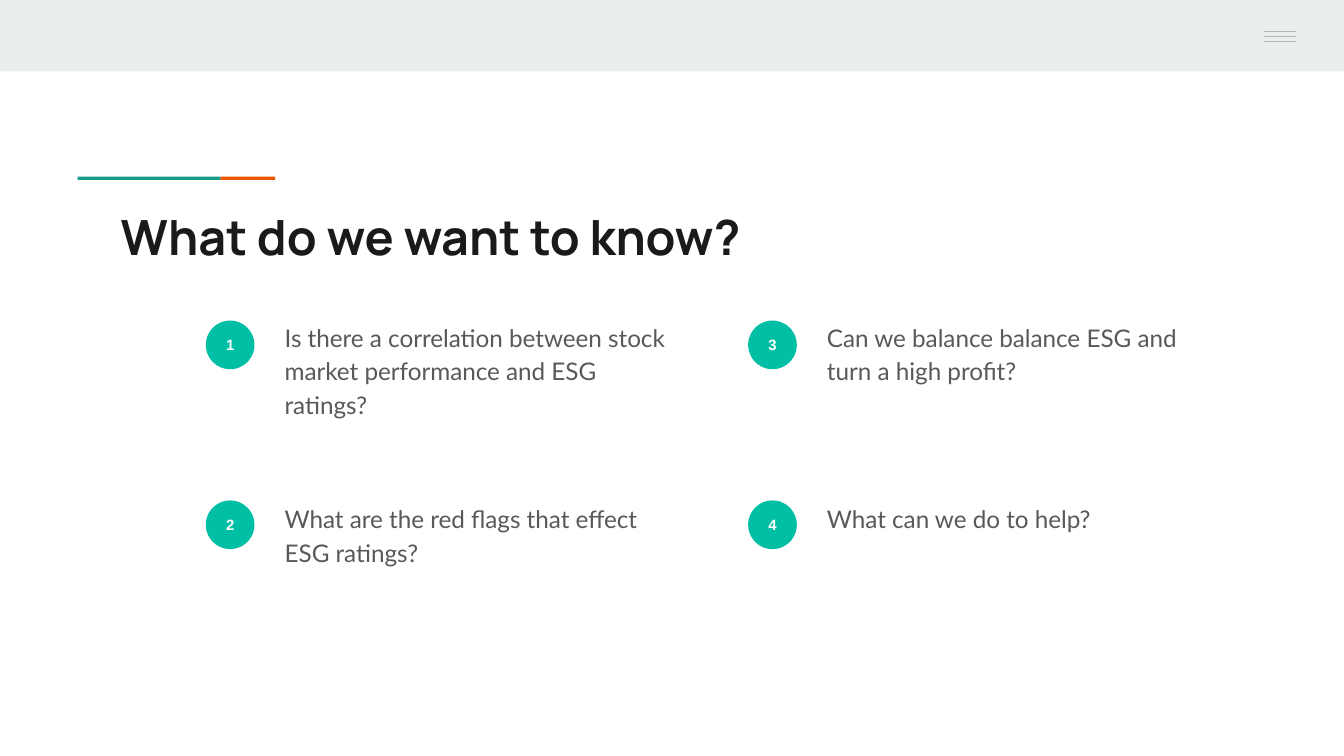
import pptx
import pptx.util
import pptx.dml.color
import pptx.enum.shapes
import pptx.enum.text
import pptx.oxml.xmlchemy

Cm, Pt = pptx.util.Cm, pptx.util.Pt
KIND = pptx.enum.shapes.MSO_SHAPE
ALIGN = pptx.enum.text.PP_ALIGN
ANCHOR = pptx.enum.text.MSO_ANCHOR

HUES = {
    "band": "E9EDEE", "teal": "1A9988", "orange": "EB5600", "menu": "B7B7B7",
    "title": "1A1A1A", "badge": "00BFA5", "white": "FFFFFF", "body": "595959",
}


def block(kind, left, top, width, height, hue):
    shape = slide.shapes.add_shape(kind, Cm(left), Cm(top), Cm(width), Cm(height))
    shape.shadow.inherit = False
    shape.fill.solid()
    shape.fill.fore_color.rgb = pptx.dml.color.RGBColor.from_string(HUES[hue])
    shape.line.fill.background()
    return shape


def write(shape, text, face, size, hue, bold, align, anchor):
    frame = shape.text_frame
    frame.text = text
    frame.word_wrap = True
    frame.auto_size = pptx.enum.text.MSO_AUTO_SIZE.NONE
    frame.vertical_anchor = anchor
    frame.margin_left = frame.margin_right = Cm(0.25)
    frame.margin_top = frame.margin_bottom = Cm(0.25)
    para = frame.paragraphs[0]
    para.alignment = align
    para.font.name = face
    para.font.size = Pt(size)
    para.font.bold = bold
    para.font.color.rgb = pptx.dml.color.RGBColor.from_string(HUES[hue])
    return para


deck = pptx.Presentation()
deck.slide_width, deck.slide_height = Cm(25.4), Cm(14.29)
slide = deck.slides.add_slide(deck.slide_layouts[5])

# Top band with menu button
block(KIND.RECTANGLE, 0, 0, 25.4, 1.35, "band")
block(KIND.RECTANGLE, 23.01, 0, 2.39, 1.27, "band")
for step in range(3):
    y = Cm(0.59 + 0.1 * step)
    bar = slide.shapes.add_connector(
        pptx.enum.shapes.MSO_CONNECTOR.STRAIGHT, Cm(23.88), y, Cm(24.49), y)
    bar.line.width = Pt(0.75)
    bar.line.color.rgb = pptx.dml.color.RGBColor.from_string(HUES["menu"])
    bar._element.spPr.append(pptx.oxml.xmlchemy.OxmlElement("a:effectLst"))

# Two-colour accent above the title
block(KIND.RECTANGLE, 1.47, 3.34, 2.7, 0.06, "teal")
block(KIND.RECTANGLE, 4.17, 3.34, 1.03, 0.06, "orange")

# Title
title = slide.shapes.title
title.left, title.top, title.width, title.height = Cm(2.03), Cm(3.66), Cm(21.36), Cm(1.5)
write(title, "What do we want to know?", "Manrope", 26, "title", True,
      ALIGN.LEFT, ANCHOR.TOP)

# Numbered questions, down each column in turn
asks = [
    "Is there a correlation between stock market performance and ESG ratings?",
    "What are the red flags that effect ESG ratings?",
    "Can we balance balance ESG and turn a high profit?",
    "What can we do to help?",
]
for index, ask in enumerate(asks):
    col, row = divmod(index, 2)
    left = 3.89 + 10.25 * col
    badge = block(KIND.OVAL, left, 6.06 + 3.4 * row, 0.92, 0.92, "badge")
    write(badge, str(index + 1), "Arial", 8, "white", True, ALIGN.CENTER, ANCHOR.MIDDLE)
    box = slide.shapes.add_textbox(
        Cm(left + 1.24), Cm(5.77 + 3.43 * row), Cm(7.87), Cm(2.92))
    para = write(box, ask, "Lato", 13, "body", False, ALIGN.LEFT, ANCHOR.TOP)
    para.line_spacing = 1.15
    para.space_after = Pt(16)

deck.save("out.pptx")
